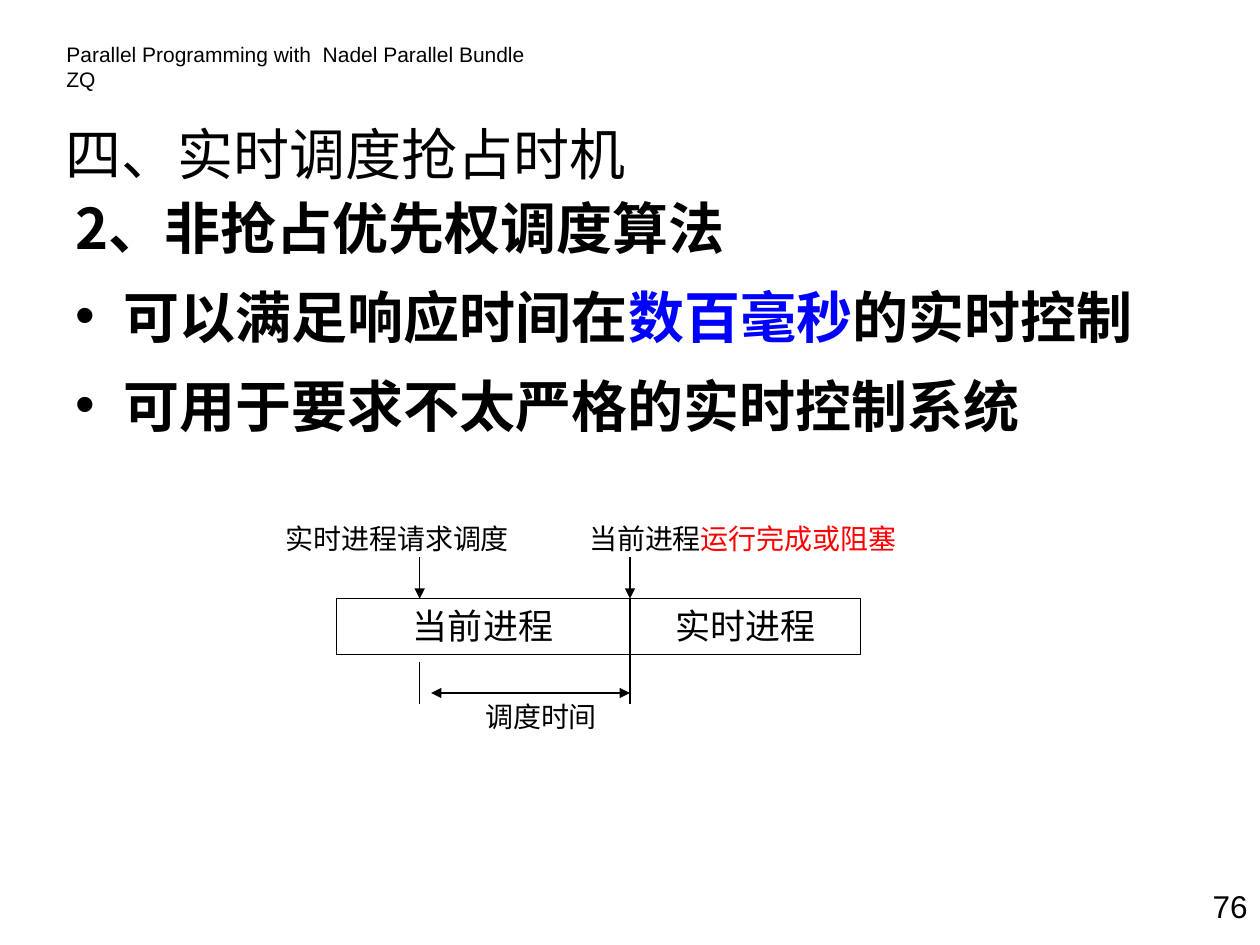
"""Build a slide on when a real-time process takes over under non-preemptive priority scheduling."""
from dataclasses import dataclass

from lxml import etree
from pptx import Presentation
from pptx import util as u
from pptx.dml import color
from pptx.enum import shapes, text
from pptx.oxml import ns

CJK = "Noto Sans CJK SC"
BLACK, BLUE, RED = "000000", "0000FF", "FF0000"
LEFT, MID, RIGHT = text.PP_ALIGN.LEFT, text.PP_ALIGN.CENTER, text.PP_ALIGN.RIGHT
ASK, DONE = 8.46, 12.7
TOP, BAR, BASE, SPAN = 11.23, 12.07, 14.2, 13.97


@dataclass
class Run:
    words: str
    tint: str = BLACK


@dataclass
class Label:
    box: tuple[float, float, float, float]
    lines: list[list[Run]]
    size: float
    font: str = "Arial"
    align: text.PP_ALIGN = LEFT
    bold: bool = False
    middle: bool = False
    framed: bool = False


@dataclass
class Line:
    start: tuple[float, float]
    end: tuple[float, float]
    heads: tuple[str, ...] = ()


LABELS = [
    Label((1.09, 0.71, 10.41, 0.76), [[Run("Parallel Programming with  Nadel Parallel Bundle ZQ")]], 12),
    Label((1.07, 2.13, 22.86, 1.9), [[Run("四、实时调度抢占时机")]], 32, CJK, middle=True),
    Label((23.7, 17.75, 1.7, 1.02), [[Run("76")]], 18, align=RIGHT),
    Label((6.78, BAR, 5.92, 1.12), [[Run("当前进程")]], 20, align=MID, framed=True),
    Label((DONE, BAR, 4.65, 1.12), [[Run("实时进程")]], 20, align=MID, framed=True),
    Label((5.51, 10.39, 5.08, 0.94), [[Run("实时进程请求调度")]], 16),
    Label((11.63, 10.39, 6.78, 0.94), [[Run("当前进程"), Run("运行完成或阻塞", RED)]], 16),
    Label((9.32, SPAN, 3.18, 0.94), [[Run("调度时间")]], 16, align=MID),
]
BODY = Label((1.27, 4.04, 23.6, 5.28), [
    [Run("2、非抢占优先权调度算法")],
    [Run("可以满足响应时间在"), Run("数百毫秒", BLUE), Run("的实时控制")],
    [Run("可用于要求不太严格的实时控制系统")],
], 32, CJK, bold=True)
LINES = [
    Line((ASK, TOP), (ASK, BAR), ("tailEnd",)),
    Line((DONE, TOP), (DONE, BAR), ("tailEnd",)),
    Line((ASK, 13.34), (ASK, BASE)),
    Line((DONE, 13.13), (DONE, BASE)),
    Line((8.69, SPAN), (DONE, SPAN), ("headEnd", "tailEnd")),
]


def paint(form, tint: str) -> None:
    form.rgb = color.RGBColor.from_string(tint)


def style(run, label: Label, tint: str) -> None:
    font = run.font
    font.size, font.bold, font.name = u.Pt(label.size), label.bold, label.font
    paint(font.color, tint)
    etree.SubElement(font._element, ns.qn("a:ea"), typeface=CJK)


def write(slide, label: Label):
    box = [u.Cm(side) for side in label.box]
    if label.framed:
        shape = slide.shapes.add_shape(shapes.MSO_SHAPE.RECTANGLE, *box)
        shape.shadow.inherit = False
        shape.fill.background()
        paint(shape.line.color, BLACK)
        shape.line.width = u.Pt(0.75)
    else:
        shape = slide.shapes.add_textbox(*box)
    frame = shape.text_frame
    frame.word_wrap = True
    frame.vertical_anchor = text.MSO_ANCHOR.MIDDLE if label.middle else text.MSO_ANCHOR.TOP
    frame.text = "\n".join(line[0].words for line in label.lines)
    for para, line in zip(frame.paragraphs, label.lines):
        para.alignment = label.align
        for part in line[1:]:
            para.add_run().text = part.words
        for run, part in zip(para.runs, line):
            style(run, label, part.tint)
    return frame


def indent(para, mark: bool) -> None:
    para.line_spacing, para.space_before = 0.8, u.Pt(20)
    props = para._p.get_or_add_pPr()
    hang = u.Cm(0.97)
    props.set("marL", str(hang))
    props.set("indent", str(-hang))
    if mark:
        tint = etree.SubElement(props, ns.qn("a:buClr"))
        etree.SubElement(tint, ns.qn("a:srgbClr"), val=BLACK)
        etree.SubElement(props, ns.qn("a:buFont"), typeface="Arial")
        etree.SubElement(props, ns.qn("a:buChar"), char="•")
    else:
        etree.SubElement(props, ns.qn("a:buNone"))


def draw(slide, line: Line) -> None:
    ends = [u.Cm(side) for side in line.start + line.end]
    link = slide.shapes.add_connector(shapes.MSO_CONNECTOR.STRAIGHT, *ends)
    paint(link.line.color, BLACK)
    link.line.width = u.Pt(0.75)
    for head in line.heads:
        etree.SubElement(link.line._get_or_add_ln(), ns.qn(f"a:{head}"), type="triangle")
    etree.SubElement(link._element.spPr, ns.qn("a:effectLst"))


def main() -> None:
    deck = Presentation()
    deck.slide_width, deck.slide_height = u.Cm(25.4), u.Cm(19.05)
    slide = deck.slides.add_slide(deck.slide_layouts[6])
    for label in LABELS:
        write(slide, label)
    for place, para in enumerate(write(slide, BODY).paragraphs):
        indent(para, place > 0)
    for line in LINES:
        draw(slide, line)
    deck.save("out.pptx")


if __name__ == "__main__":
    main()
